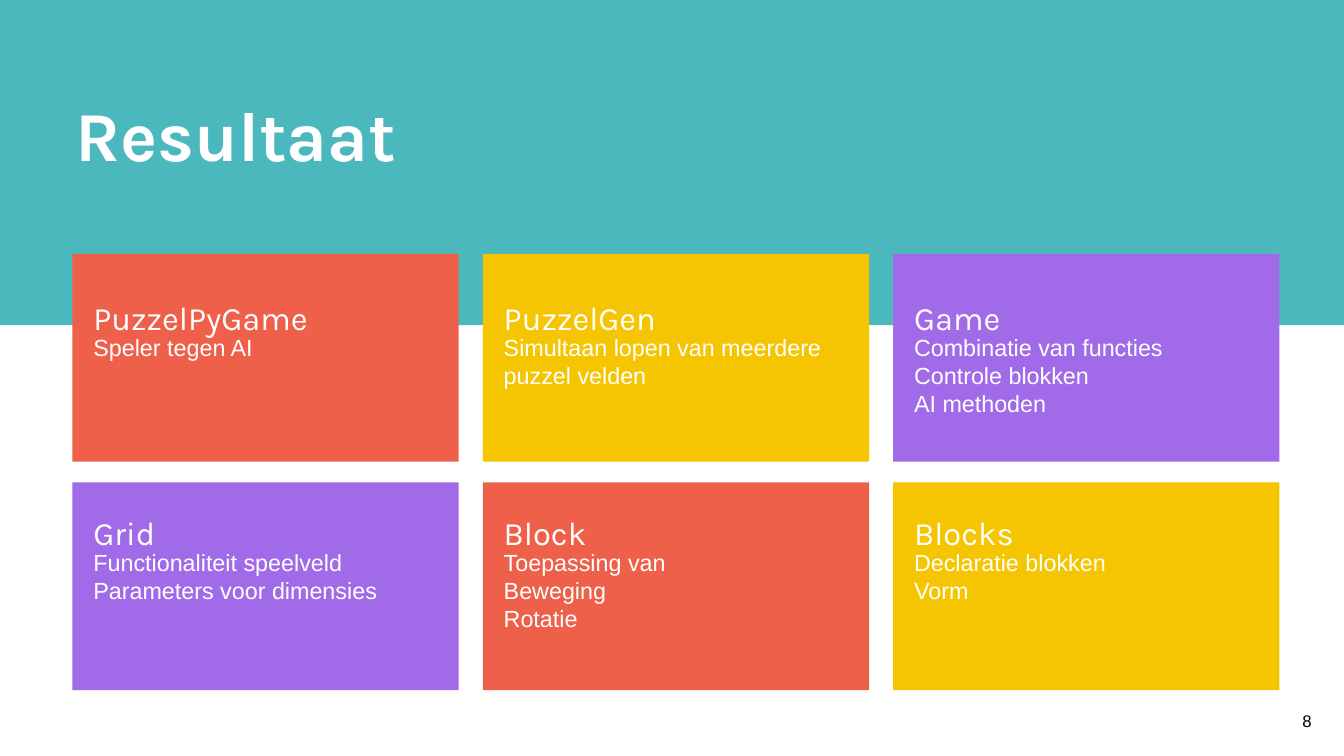
from pptx import Presentation
from pptx.dml.color import RGBColor
from pptx.enum.shapes import MSO_SHAPE
from pptx.enum.text import MSO_ANCHOR, MSO_AUTO_SIZE, PP_ALIGN
from pptx.util import Cm, Pt

COLORS = {
    "teal": "4BB8BE",
    "red": "EE604A",
    "yellow": "F4C500",
    "purple": "A16AE8",
    "white": "FFFFFF",
    "black": "000000",
}
CARDS = [
    ("PuzzelPyGame", ["Speler tegen AI"], "red"),
    ("PuzzelGen", ["Simultaan lopen van meerdere puzzel velden"], "yellow"),
    ("Game", ["Combinatie van functies", "Controle blokken", "AI methoden"], "purple"),
    ("Grid", ["Functionaliteit speelveld", "Parameters voor dimensies"], "purple"),
    ("Block", ["Toepassing van", "Beweging", "Rotatie"], "red"),
    ("Blocks", ["Declaratie blokken", "Vorm"], "yellow"),
]
COLUMNS = 3
LEFT, TOP = 2.74, 9.6
COLUMN_PITCH, ROW_PITCH = 15.51, 8.64
HEADING_TOPS = [10.95, 19.08]


def add_block(left, top, width, height, color):
    block = slide.shapes.add_shape(
        MSO_SHAPE.RECTANGLE, Cm(left), Cm(top), Cm(width), Cm(height)
    )
    block.shadow.inherit = False
    block.fill.solid()
    block.fill.fore_color.rgb = RGBColor.from_string(COLORS[color])
    block.line.fill.background()
    return block


def write(shape, lines, font, size, color="white", spacing=1.0, bold=False,
          align=PP_ALIGN.LEFT, wrap=True):
    frame = shape.text_frame
    frame.margin_left = frame.margin_right = 0
    frame.margin_top = frame.margin_bottom = 0
    frame.word_wrap = wrap
    frame.auto_size = MSO_AUTO_SIZE.NONE
    frame.vertical_anchor = MSO_ANCHOR.TOP
    frame.text = "\n".join(lines)
    for paragraph in frame.paragraphs:
        paragraph.alignment = align
        paragraph.line_spacing = spacing
        paragraph.font.name = font
        paragraph.font.size = Pt(size)
        paragraph.font.bold = bold
        paragraph.font.color.rgb = RGBColor.from_string(COLORS[color])


prs = Presentation()
prs.slide_width, prs.slide_height = Cm(50.8), Cm(28.58)
slide = prs.slides.add_slide(prs.slide_layouts[5])

banner = add_block(0, 0, 50.8, 12.29, "teal")
title = slide.shapes.title
banner._element.addnext(title._element)
title.left, title.top, title.width, title.height = Cm(2.84), Cm(2.82), Cm(31.55), Cm(3.84)
write(title, ["Resultaat"], "Karla", 75, spacing=1.2, bold=True)

for index, (name, details, color) in enumerate(CARDS):
    row, column = divmod(index, COLUMNS)
    left = LEFT + column * COLUMN_PITCH
    add_block(left, TOP + row * ROW_PITCH, 14.6, 7.85, color)

    card_text = slide.shapes.add_group_shape()
    text_left, text_top = left + 0.79, HEADING_TOPS[row]
    heading = card_text.shapes.add_textbox(
        Cm(text_left), Cm(text_top), Cm(12.73), Cm(1.8)
    )
    write(heading, [name], "Karla", 35, spacing=1.2)
    description = card_text.shapes.add_textbox(
        Cm(text_left), Cm(text_top + 1.65), Cm(12.73), Cm(3.2)
    )
    write(description, details, "Arial", 25)

page_number = slide.shapes.add_textbox(Cm(48.97), Cm(26.88), Cm(0.86), Cm(0.76))
write(page_number, ["8"], "Arial", 18, "black", align=PP_ALIGN.CENTER, wrap=False)

prs.save("out.pptx")
